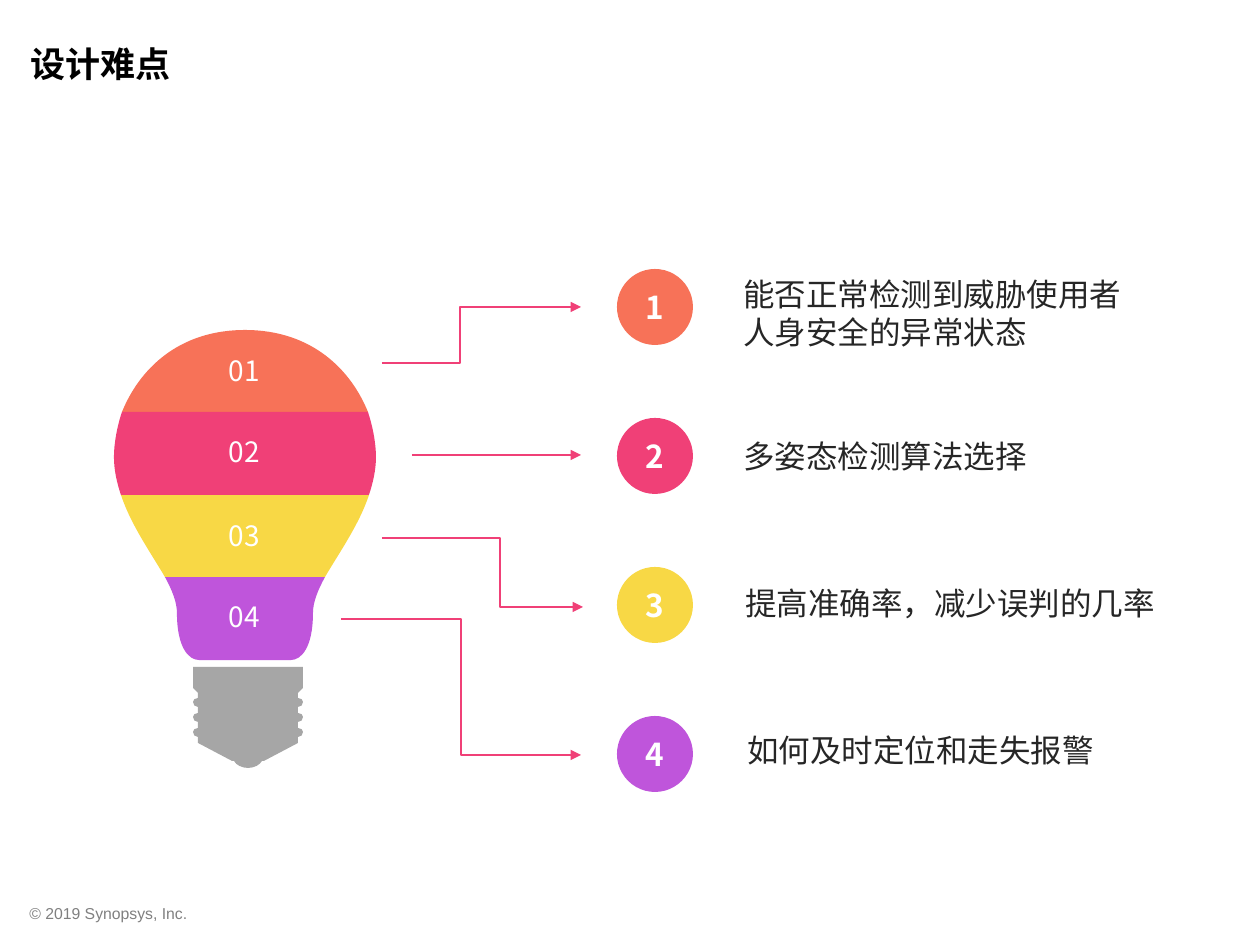
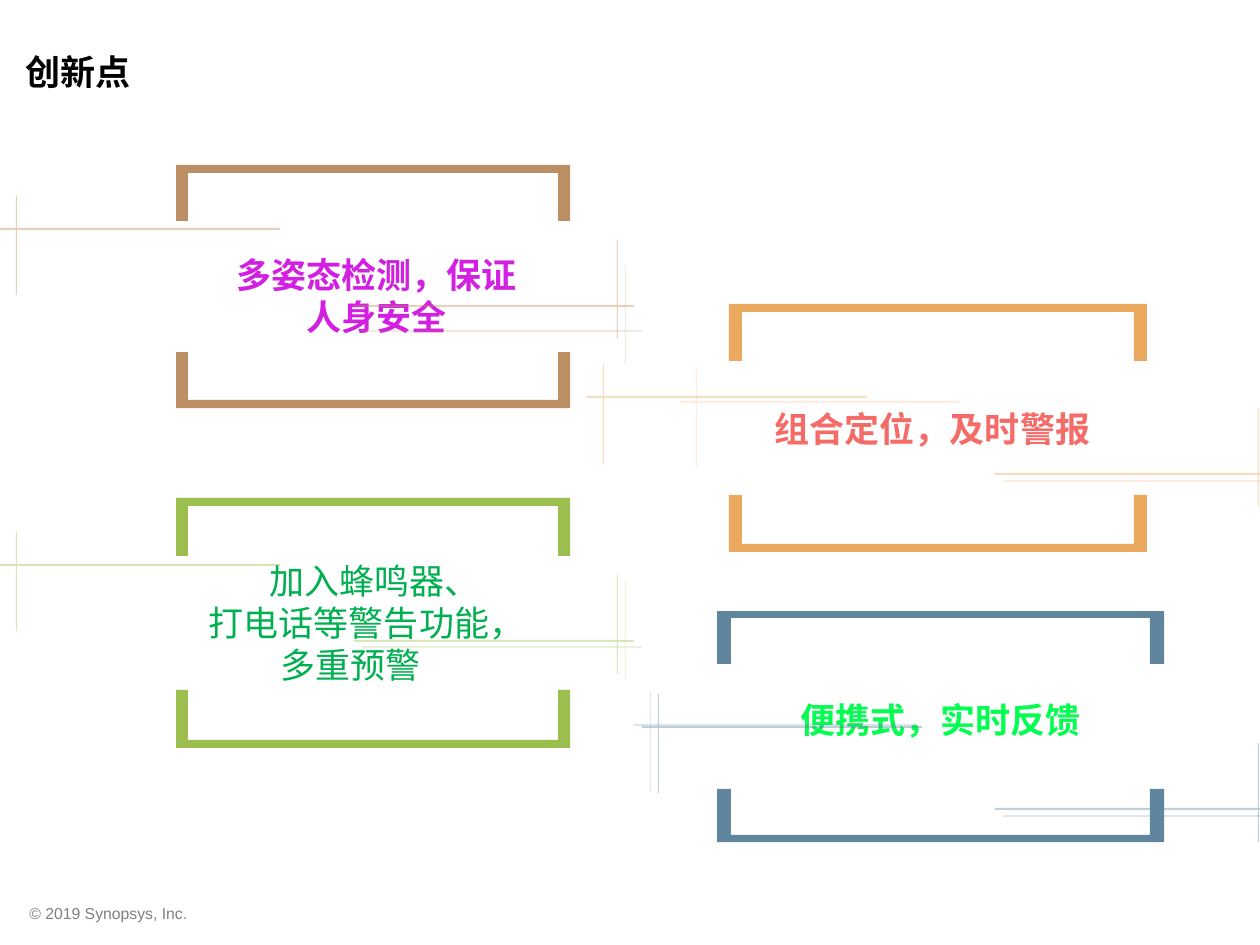
from lxml import etree
from pptx import Presentation
from pptx import util as u
from pptx.dml.color import RGBColor
from pptx.enum import shapes, text
from pptx.oxml.ns import qn

PX = 914400 / 126
CJK = "Noto Sans CJK SC"
WHITE = RGBColor(0xFF, 0xFF, 0xFF)
BLACK = RGBColor(0x00, 0x00, 0x00)
INK = RGBColor(0x26, 0x26, 0x26)
FOOTER_GRAY = RGBColor(0x80, 0x80, 0x80)
BASE_GRAY = RGBColor(0xA6, 0xA6, 0xA6)
CORAL = RGBColor(0xF7, 0x72, 0x58)
PINK = RGBColor(0xF0, 0x40, 0x77)
YELLOW = RGBColor(0xF8, 0xD8, 0x45)
PURPLE = RGBColor(0xBF, 0x55, 0xDB)
BROWN = RGBColor(0xBC, 0x8E, 0x63)
GREEN = RGBColor(0x9B, 0xBE, 0x4E)
ORANGE = RGBColor(0xEB, 0xA8, 0x5F)
BLUE = RGBColor(0x60, 0x86, 0x9E)
MAGENTA_TEXT = RGBColor(0xD3, 0x1F, 0xE1)
GREEN_TEXT = RGBColor(0x00, 0xB0, 0x50)
RED_TEXT = RGBColor(0xF4, 0x6B, 0x68)
LIME_TEXT = RGBColor(0x03, 0xFD, 0x50)

FOOTER = "© 2019 Synopsys, Inc."
FOOTER_BOX = (17, 898, 388, 32)

CHALLENGES = [
    {"text": "能否正常检测到威胁使用者人身安全的异常状态", "color": CORAL,
     "box": (731, 269, 407, 90), "label_top": 354,
     "arrow": (382, 363, 581, 307, 460),
     "edge": [(245, 330), (178, 330, 139, 370, 122, 412)]},
    {"text": "多姿态检测算法选择", "color": PINK,
     "box": (731, 431, 493, 51), "label_top": 435,
     "arrow": (412, 455, 581, 455, None),
     "edge": [(122, 412), (117, 427, 114, 444, 114, 457),
              (114, 470, 117, 483, 121, 495)]},
    {"text": "提高准确率，减少误判的几率", "color": YELLOW,
     "box": (733, 578, 493, 51), "label_top": 519,
     "arrow": (382, 538, 583, 607, 500),
     "edge": [(121, 495), (131, 525, 151, 553, 165, 577)]},
    {"text": "如何及时定位和走失报警", "color": PURPLE,
     "box": (735, 725, 493, 51), "label_top": 600,
     "arrow": (341, 619, 581, 755, 461),
     "edge": [(165, 577), (172, 590, 177, 602, 177, 613),
              (177, 648, 189, 660, 199, 660)]},
]
BULB_AXIS, BASE_AXIS = 245, 248
THREAD_TOPS = (698, 713, 728)
LABEL_LEFT, LABEL_WIDTH, LABEL_HEIGHT = 228, 33, 34
CIRCLE_LEFT, CIRCLE_TOP, CIRCLE_SIZE, CIRCLE_PITCH = 617, 269, 76, 149

INNOVATIONS = [
    {"lines": ["多姿态检测，保证人身安全"], "box": (212, 218, 329, 155),
     "text_color": MAGENTA_TEXT, "color": BROWN, "frame": (176, 165, 394, 243),
     "crosses": [(0, 196, False, 40), (354, 240, True, 40), (362, 265, True, 20)]},
    {"lines": ["加入蜂鸣器、", "打电话等警告功能，", "多重预警"],
     "indents": (110, 94, 62), "box": (20, 595, 599, 55),
     "text_color": GREEN_TEXT, "color": GREEN, "frame": (176, 498, 394, 250),
     "crosses": [(0, 532, False, 40), (354, 575, True, 40), (362, 581, True, 20)]},
    {"lines": ["组合定位，及时警报"], "box": (633, 401, 599, 55),
     "text_color": RED_TEXT, "color": ORANGE, "frame": (729, 304, 418, 248),
     "crosses": [(587, 364, False, 40), (680, 369, False, 20),
                 (995, 408, True, 40), (1003, 415, True, 20)]},
    {"lines": ["便携式，实时反馈"], "box": (641, 692, 599, 55),
     "text_color": LIME_TEXT, "color": BLUE, "frame": (717, 611, 447, 231),
     "crosses": [(642, 694, False, 40), (634, 692, False, 20),
                 (995, 743, True, 40), (1003, 750, True, 20)]},
]
CROSS_WIDTH, CROSS_HEIGHT = 280, 99
CROSS = [(16, 0), (17, 0), (17, 32), (280, 32), (280, 34), (17, 34),
         (17, 99), (16, 99), (16, 34), (0, 34), (0, 32), (16, 32)]


def px(*lengths):
    return [u.Emu(round(length * PX)) for length in lengths]


def fill_plain(shape, color, opacity=100):
    shape.shadow.inherit = False
    shape.fill.solid()
    shape.fill.fore_color.rgb = color
    shape.line.fill.background()
    if opacity < 100:
        tint = shape._element.spPr.find(".//" + qn("a:srgbClr"))
        etree.SubElement(tint, qn("a:alpha")).set("val", str(opacity * 1000))


def write(shape, lines, size, color, bold=False, name=CJK, align=text.PP_ALIGN.LEFT,
          anchor=text.MSO_ANCHOR.TOP, wrap=True, indents=None):
    frame = shape.text_frame
    frame.word_wrap = wrap
    frame.vertical_anchor = anchor
    frame.text = "\n".join(lines)
    for index, paragraph in enumerate(frame.paragraphs):
        paragraph.alignment = align
        if indents:
            paragraph._p.get_or_add_pPr().set("marL", str(px(indents[index])[0]))
        font = paragraph.font
        font.size = u.Pt(size)
        font.bold = bold
        font.color.rgb = color
        font.name = name
        etree.SubElement(font._element, qn("a:ea")).set("typeface", CJK)


def add_text(slide, box, lines, size, color, **style):
    write(slide.shapes.add_textbox(*px(*box)), lines, size, color, **style)


def add_badge(slide, kind, box, caption, size, color, **style):
    badge = slide.shapes.add_shape(kind, *px(*box))
    fill_plain(badge, color)
    write(badge, [caption], size, WHITE, align=text.PP_ALIGN.CENTER, **style)
    return badge


def add_outline(slide, contours, color, opacity=100):
    first, *others = [[px(*point) for point in contour] for contour in contours]
    builder = slide.shapes.build_freeform(*first[0], scale=1.0)
    builder.add_line_segments(first[1:], close=True)
    for contour in others:
        builder.move_to(*contour[0])
        builder.add_line_segments(contour[1:], close=True)
    shape = builder.convert_to_shape()
    fill_plain(shape, color, opacity)
    return shape


def mirror_edge(edge, axis):
    parts = list(edge)
    if edge[-1][-2] != axis:
        parts.append((2 * axis - edge[-1][-2], edge[-1][-1]))
    for before, part in reversed(list(zip(edge, edge[1:]))):
        route = part[2:4] + part[:2] if len(part) == 6 else ()
        route += before[-2:]
        parts.append(tuple(value if index % 2 else 2 * axis - value
                           for index, value in enumerate(route)))
    return parts


def add_symmetric(slide, edge, axis, color):
    parts = mirror_edge(edge, axis)
    shape = add_outline(slide, [[part[-2:] for part in parts]], color)
    segments = shape._element.spPr.findall(".//" + qn("a:lnTo"))
    for part, segment in zip(parts[1:], segments):
        if len(part) == 6:
            segment.tag = qn("a:cubicBezTo")
            for index in (0, 2):
                x, y = px(*part[index:index + 2])
                point = etree.Element(qn("a:pt"))
                point.set("x", str(x - shape.left))
                point.set("y", str(y - shape.top))
                segment.insert(index // 2, point)


def base_edge():
    edge = [(193, 667), (193, 688), (198, 693)]
    for top in THREAD_TOPS:
        edge += [(198, top), (195, top, 193, top + 2, 193, top + 4),
                 (193, top + 7, 195, top + 9, 198, top + 9)]
    return edge + [(198, 743), (232, 761), (234, 761), (236, 765, 242, 768, 248, 768)]


def add_arrow(slide, x1, y1, x2, y2, bend):
    kind = shapes.MSO_CONNECTOR.ELBOW if bend else shapes.MSO_CONNECTOR.STRAIGHT
    connector = slide.shapes.add_connector(kind, *px(x1, y1, x2, y2))
    connector.line.color.rgb = PINK
    connector.line.width = u.Pt(1)
    properties = connector._element.spPr
    line = properties.find(qn("a:ln"))
    etree.SubElement(line, qn("a:tailEnd")).set("type", "triangle")
    etree.SubElement(properties, qn("a:effectLst"))
    if bend:
        geometry = properties.find(qn("a:prstGeom"))
        guides = geometry.find(qn("a:avLst"))
        if guides is None:
            guides = etree.SubElement(geometry, qn("a:avLst"))
        guide = etree.SubElement(guides, qn("a:gd"))
        guide.set("name", "adj1")
        guide.set("fmla", f"val {round((bend - x1) / (x2 - x1) * 100000)}")


def add_frame(slide, x, y, width, height, color):
    side, bar, arm = round(width * 0.031), round(height * 0.032), round(height * 0.231)
    right = x + width
    bracket = [(x, 0), (right, 0), (right, arm), (right - side, arm),
               (right - side, bar), (x + side, bar), (x + side, arm), (x, arm)]
    upper = [(a, y + b) for a, b in bracket]
    lower = [(a, y + height - b) for a, b in bracket]
    add_outline(slide, [lower, upper], color)


def add_cross(slide, x, y, turned, opacity, color):
    points = CROSS
    if turned:
        points = [(CROSS_WIDTH - a, CROSS_HEIGHT - b) for a, b in CROSS]
    add_outline(slide, [[(x + a, y + b) for a, b in points]], color, opacity)


def new_slide(presentation, title, box, anchor):
    slide = presentation.slides.add_slide(presentation.slide_layouts[6])
    add_text(slide, FOOTER_BOX, [FOOTER], 9, FOOTER_GRAY, name="Arial")
    add_text(slide, box, [title], 20, BLACK, bold=True, anchor=anchor)
    return slide


def build_challenges(presentation):
    slide = new_slide(presentation, "设计难点", (18, 36, 441, 55), text.MSO_ANCHOR.TOP)
    add_symmetric(slide, base_edge(), BASE_AXIS, BASE_GRAY)
    for number, item in enumerate(CHALLENGES, 1):
        add_symmetric(slide, item["edge"], BULB_AXIS, item["color"])
        label = add_badge(slide, shapes.MSO_SHAPE.RECTANGLE,
                          (LABEL_LEFT, item["label_top"], LABEL_WIDTH, LABEL_HEIGHT),
                          f"{number:02}", 16, item["color"], wrap=False)
        frame = label.text_frame
        frame.margin_left = frame.margin_right = frame.margin_top = frame.margin_bottom = 0
    for index, item in enumerate(CHALLENGES):
        top = CIRCLE_TOP + index * CIRCLE_PITCH
        add_badge(slide, shapes.MSO_SHAPE.OVAL, (CIRCLE_LEFT, top, CIRCLE_SIZE, CIRCLE_SIZE),
                  str(index + 1), 18, item["color"], bold=True, anchor=text.MSO_ANCHOR.MIDDLE)
    for item in CHALLENGES:
        add_arrow(slide, *item["arrow"])
    for item in CHALLENGES:
        add_text(slide, item["box"], [item["text"]], 18, INK)


def build_innovations(presentation):
    slide = new_slide(presentation, "创新点", (13, 18, 703, 106), text.MSO_ANCHOR.MIDDLE)
    for item in INNOVATIONS:
        add_frame(slide, *item["frame"], item["color"])
        indents = item.get("indents")
        add_text(slide, item["box"], item["lines"], 20, item["text_color"],
                 bold=not indents, indents=indents, anchor=text.MSO_ANCHOR.MIDDLE,
                 align=text.PP_ALIGN.CENTER)
        for cross in item["crosses"]:
            add_cross(slide, *cross, item["color"])


def main():
    presentation = Presentation()
    presentation.slide_width, presentation.slide_height = px(1260, 945)
    build_challenges(presentation)
    build_innovations(presentation)
    presentation.save("out.pptx")


if __name__ == "__main__":
    main()
